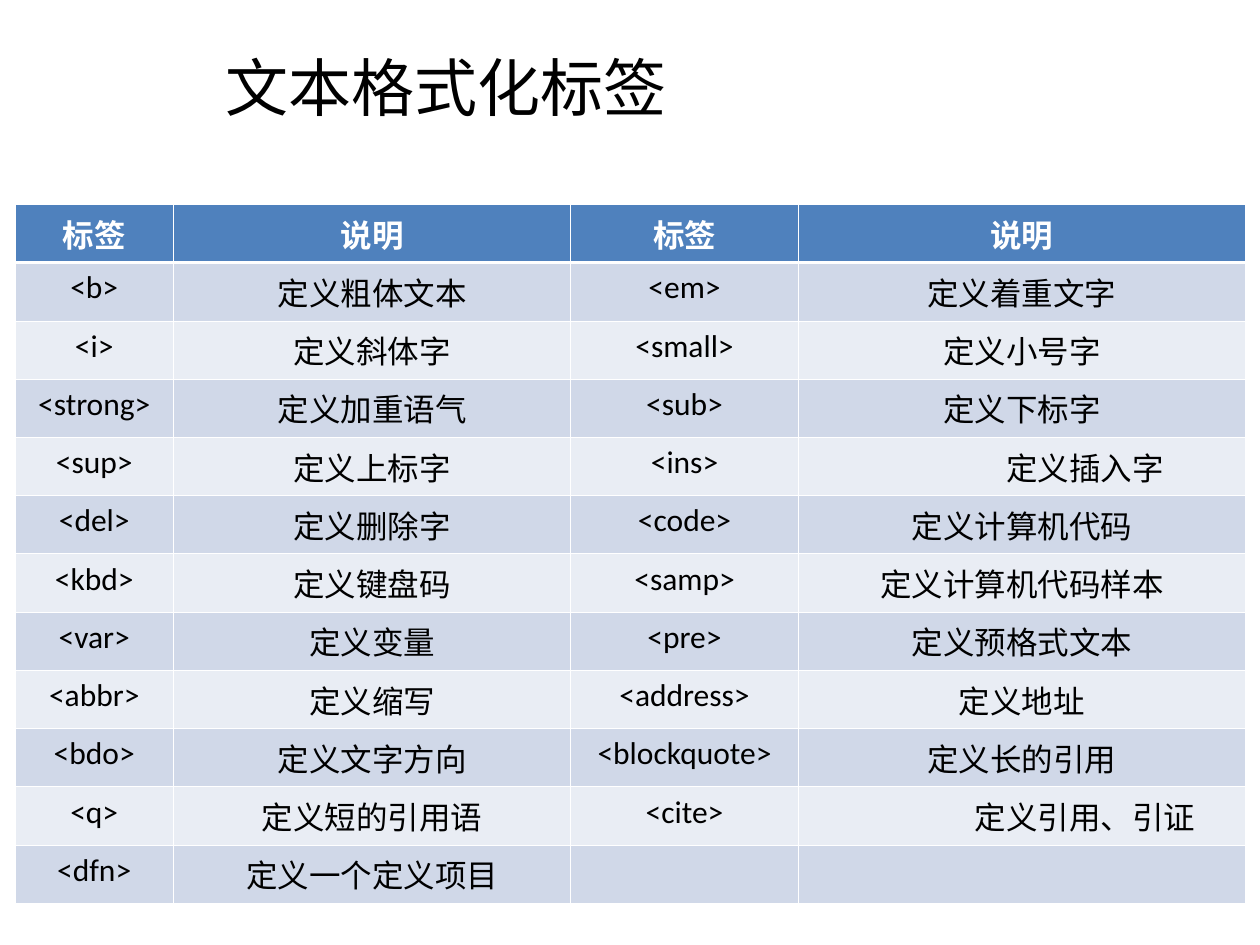
import dataclasses

import pptx
import pptx.dml.color
import pptx.enum.text
import pptx.oxml
import pptx.oxml.ns
import pptx.util

Cm = pptx.util.Cm
Pt = pptx.util.Pt
ALIGN = pptx.enum.text.PP_ALIGN
ANCHOR = pptx.enum.text.MSO_ANCHOR

HEADER = ("标签", "说明", "标签", "说明")
TAG_ROWS = [
    ("<b>", "定义粗体文本", "<em>", "定义着重文字"),
    ("<i>", "定义斜体字", "<small>", "定义小号字"),
    ("<strong>", "定义加重语气", "<sub>", "定义下标字"),
    ("<sup>", "定义上标字", "<ins>", "定义插入字"),
    ("<del>", "定义删除字", "<code>", "定义计算机代码"),
    ("<kbd>", "定义键盘码", "<samp>", "定义计算机代码样本"),
    ("<var>", "定义变量", "<pre>", "定义预格式文本"),
    ("<abbr>", "定义缩写", "<address>", "定义地址"),
    ("<bdo>", "定义文字方向", "<blockquote>", "定义长的引用"),
    ("<q>", "定义短的引用语", "<cite>", "定义引用、引证"),
    ("<dfn>", "定义一个定义项目", "", ""),
]
INDENTED_TEXTS = {"定义插入字", "定义引用、引证"}


@dataclasses.dataclass(frozen=True)
class Theme:
    latin_font: str = "Calibri"
    chinese_font: str = "Noto Sans CJK SC"
    title_size: int = 36
    body_size: int = 18
    text_color: str = "000000"
    header_text_color: str = "FFFFFF"
    header_fill: str = "4F81BD"
    band_fills: tuple = ("D0D8E8", "E9EDF4")
    border_color: str = "FFFFFF"
    border_width: float = 0.45
    header_border_width: float = 1.47


def rgb(color):
    return pptx.dml.color.RGBColor.from_string(color)


def write_text(text_frame, text, *, size, color, latin, chinese, bold=False,
               align=ALIGN.LEFT, indent=0):
    paragraph = text_frame.paragraphs[0]
    paragraph.alignment = align
    if indent:
        properties = paragraph._p.get_or_add_pPr()
        properties.set("marL", str(indent))
        properties.set("indent", "0")
    run = paragraph.add_run()
    run.text = text
    run.font.size = Pt(size)
    run.font.bold = bold
    run.font.name = latin
    run.font.color.rgb = rgb(color)
    east_asian = pptx.oxml.parse_xml(
        f'<a:ea {pptx.oxml.ns.nsdecls("a")} typeface="{chinese}"/>')
    run._r.rPr.find(pptx.oxml.ns.qn("a:latin")).addnext(east_asian)


class SlideBuilder:
    def __init__(self, presentation, theme):
        self.theme = theme
        self.slide = presentation.slides.add_slide(presentation.slide_layouts[5])

    def title(self, text, left, top, width, height):
        shape = self.slide.shapes.title
        shape.left, shape.top, shape.width, shape.height = left, top, width, height
        shape.text_frame.vertical_anchor = ANCHOR.MIDDLE
        write_text(shape.text_frame, text, size=self.theme.title_size,
                   color=self.theme.text_color, latin=self.theme.chinese_font,
                   chinese=self.theme.chinese_font)

    def table(self, rows, left, top, column_widths, row_height):
        shape = self.slide.shapes.add_table(
            len(rows), len(column_widths), left, top,
            sum(column_widths), row_height * len(rows))
        table = shape.table
        for column, width in zip(table.columns, column_widths):
            column.width = width
        for row_index, texts in enumerate(rows):
            table.rows[row_index].height = row_height
            for column_index, text in enumerate(texts):
                self.cell(table.cell(row_index, column_index), text, row_index)

    def cell(self, cell, text, row_index):
        theme = self.theme
        is_header = row_index == 0
        self.borders(cell, row_index)
        cell.fill.solid()
        cell.fill.fore_color.rgb = rgb(
            theme.header_fill if is_header else theme.band_fills[(row_index - 1) % 2])
        if text:
            write_text(
                cell.text_frame, text, size=theme.body_size, bold=is_header,
                color=theme.header_text_color if is_header else theme.text_color,
                latin=theme.latin_font, chinese=theme.chinese_font,
                align=ALIGN.CENTER,
                indent=Cm(2.54) if text in INDENTED_TEXTS else 0)

    def borders(self, cell, row_index):
        """Draw thin borders, with a thicker one between header and body."""
        header_edge = {0: "lnB", 1: "lnT"}.get(row_index)
        properties = cell._tc.get_or_add_tcPr()
        for edge in ("lnL", "lnR", "lnT", "lnB"):
            width = (self.theme.header_border_width if edge == header_edge
                     else self.theme.border_width)
            properties.append(pptx.oxml.parse_xml(
                f'<a:{edge} {pptx.oxml.ns.nsdecls("a")} w="{Pt(width)}"><a:solidFill>'
                f'<a:srgbClr val="{self.theme.border_color}"/></a:solidFill></a:{edge}>'))


def main():
    presentation = pptx.Presentation()
    presentation.slide_width = Cm(25.4)
    presentation.slide_height = Cm(19.05)
    builder = SlideBuilder(presentation, Theme())
    builder.title("文本格式化标签", Cm(4.3), Cm(0.76), Cm(19.43), Cm(1.95))
    builder.table([HEADER, *TAG_ROWS], Cm(0.3), Cm(4.12),
                  [Cm(3.2), Cm(8), Cm(4.6), Cm(9)], Cm(1.17))
    presentation.save("out.pptx")


if __name__ == "__main__":
    main()
